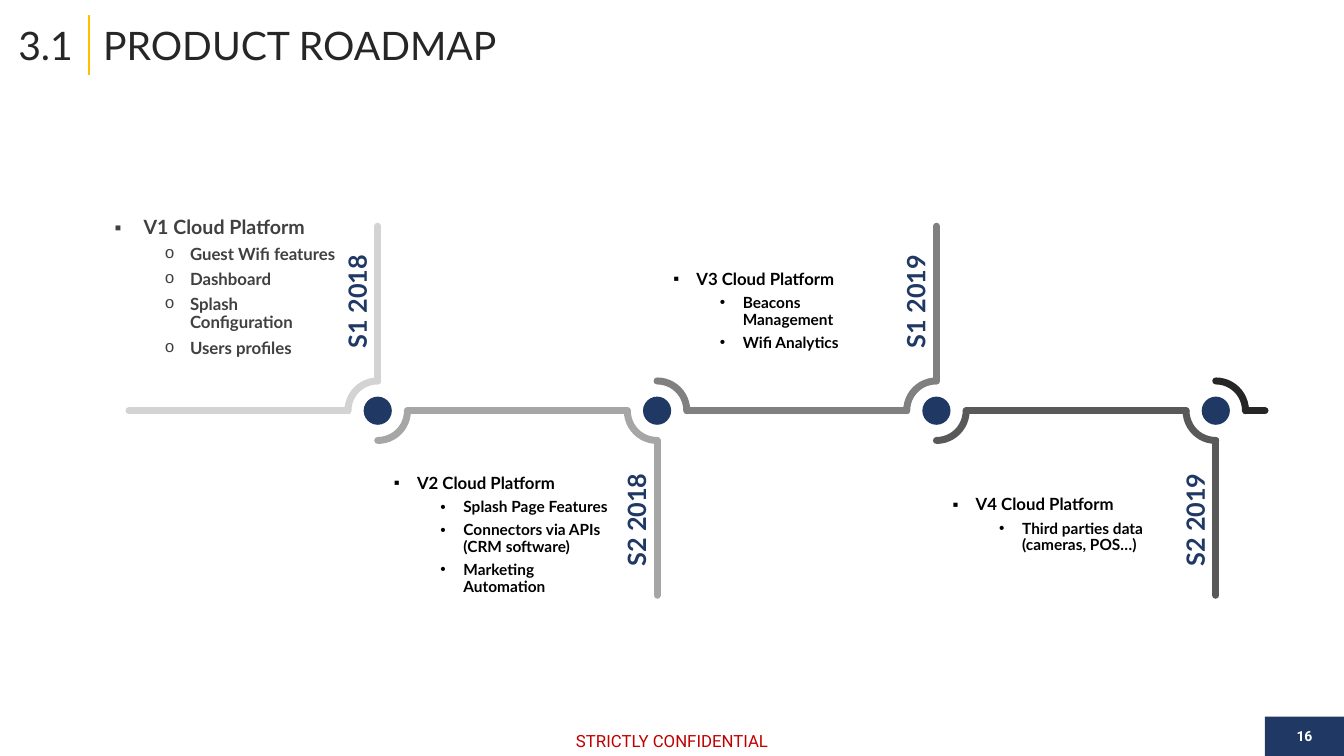
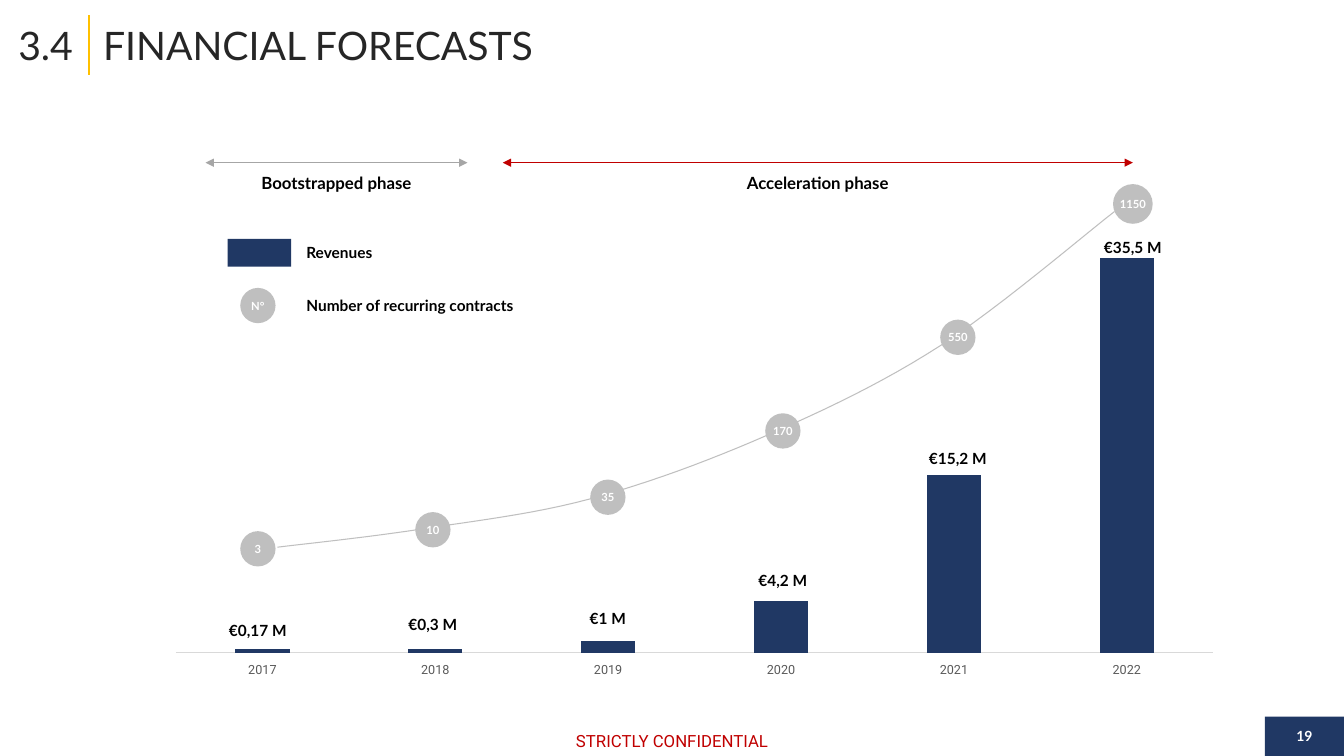
from dataclasses import dataclass
from pptx import Presentation
from pptx.chart.data import CategoryChartData
from pptx.dml.color import RGBColor
from pptx.enum.chart import XL_CHART_TYPE, XL_TICK_LABEL_POSITION, XL_TICK_MARK
from pptx.enum.shapes import MSO_CONNECTOR, MSO_SHAPE
from pptx.enum.text import MSO_ANCHOR, PP_ALIGN
from pptx.oxml.ns import qn
from pptx.util import Cm, Pt
from lxml.etree import SubElement


@dataclass(frozen=True)
class Theme:
    """Colours, fonts and type sizes of the deck."""
    navy: str = "203864"
    gold: str = "FFC000"
    red: str = "C00000"
    ink: str = "262626"
    black: str = "000000"
    white: str = "FFFFFF"
    slate: str = "404040"
    axis: str = "595959"
    rule: str = "D9D9D9"
    disc: str = "BFBFBF"
    mid: str = "A6A6A6"
    track: tuple = ("D3D3D3", "A6A6A6", "808080", "595959", "262626")
    main: str = "Lato"
    side: str = "Roboto"
    title: int = 28
    date: int = 18
    lead: int = 14
    body: int = 12
    label: int = 11
    page: int = 10
    tick: int = 9
    tiny: int = 8


T = Theme()


@dataclass(frozen=True)
class Box:
    """A rectangle in centimetres."""
    x: float
    y: float
    w: float
    h: float

    def sub(self, dx, dy, w, h):
        """Return a box offset from this one."""
        return Box(self.x + dx, self.y + dy, w, h)

    def mid(self, dx, dy, w, h):
        """Return a box centred on an offset point."""
        return self.sub(dx - w / 2, dy - h / 2, w, h)

    def emu(self):
        """Return the four lengths for a shape call."""
        return Cm(self.x), Cm(self.y), Cm(self.w), Cm(self.h)


def rgb(code):
    """Turn a hex code into a colour."""
    return RGBColor.from_string(code)


def add_run(para, words, size, color, font=T.main, bold=True):
    """Add one styled run."""
    run = para.add_run()
    run.text = words
    run.font.size = Pt(size)
    run.font.name = font
    run.font.bold = bold
    run.font.color.rgb = rgb(color)


def fit(frame, inset=0.0, anchor=MSO_ANCHOR.MIDDLE):
    """Set wrap, insets and anchor of a text frame."""
    frame.word_wrap = True
    frame.vertical_anchor = anchor
    frame.margin_left = frame.margin_right = Cm(inset)
    frame.margin_top = frame.margin_bottom = Cm(inset / 2)


def label(slide, box, words, size, color, font=T.main, bold=True,
          align=PP_ALIGN.CENTER):
    """Add a text box with one line and return it."""
    shape = slide.shapes.add_textbox(*box.emu())
    fit(shape.text_frame)
    para = shape.text_frame.paragraphs[0]
    para.alignment = align
    add_run(para, words, size, color, font, bold)
    return shape


def solid(slide, kind, box, color, words="", size=T.tiny, font=T.main):
    """Add a filled shape with optional white text."""
    shape = slide.shapes.add_shape(kind, *box.emu())
    shape.shadow.inherit = False
    shape.fill.solid()
    shape.fill.fore_color.rgb = rgb(color)
    shape.line.fill.background()
    if words:
        fit(shape.text_frame)
        shape.text_frame.word_wrap = False
        para = shape.text_frame.paragraphs[0]
        para.alignment = PP_ALIGN.CENTER
        add_run(para, words, size, T.white, font)


def stroke(shape, color, width, cap="flat"):
    """Style an outline and return its XML element."""
    shape.line.color.rgb = rgb(color)
    shape.line.width = Pt(width)
    line = shape.element.spPr.find(qn("a:ln"))
    line.set("cap", cap)
    return line


def rule(slide, x1, y1, x2, y2, color, width, cap="flat", heads=()):
    """Draw a straight line with optional arrowheads."""
    line = slide.shapes.add_connector(
        MSO_CONNECTOR.STRAIGHT, Cm(x1), Cm(y1), Cm(x2), Cm(y2))
    pen = stroke(line, color, width, cap)
    for end in heads:
        SubElement(pen, qn(end), type="triangle")
    SubElement(line.element.spPr, qn("a:effectLst"))


def frame(slide, box, code, title, page, font):
    """Place the title row, notice and page badge."""
    rule(slide, box.x + 2.24, 0.38, box.x + 2.24, 1.88, T.gold, 1.5)
    label(slide, box.sub(0.2, 0.38, 1.9, 1.5), code, T.title, T.ink,
          bold=False)
    label(slide, box.sub(2.6, 0.38, 30, 1.5), title, T.title, T.ink,
          bold=False, align=PP_ALIGN.LEFT)
    label(slide, box.sub(12.47, 18.29, 8.94, 0.76), "STRICTLY CONFIDENTIAL",
          T.body, T.red, T.side, False)
    solid(slide, MSO_SHAPE.RECTANGLE, box.sub(31.88, 18.06, 1.99, 0.99),
          T.navy, page, T.page, font)


def point(frame, first, words, mark, left, hang, gap, size, color):
    """Add one bulleted paragraph."""
    para = frame.paragraphs[0] if first else frame.add_paragraph()
    para.line_spacing = 0.9
    if not first:
        para.space_before = Pt(gap)
    props = para._p.get_or_add_pPr()
    props.set("marL", str(Cm(left)))
    props.set("indent", str(-Cm(hang)))
    face = "Courier New" if mark == "o" else "Arial"
    SubElement(props, qn("a:buFont"), typeface=face)
    SubElement(props, qn("a:buChar"), char=mark)
    add_run(para, words, size, color)


def note(slide, box, step):
    """Write one release with its features."""
    shape = slide.shapes.add_textbox(*box.emu())
    text = shape.text_frame
    fit(text, 0.25)
    text.margin_bottom = Cm(step.foot)
    big = step.big
    color = T.slate if big else T.black
    point(text, True, step.name, "▪", 0.73 if big else 0.58,
          0.73 if big else 0.58, 0, T.lead if big else T.body, color)
    for item in step.items:
        point(text, False, item, "o" if big else "•",
              1.9 if big else 1.75, 0.64 if big else 0.58,
              5 if big else 4.6, T.body if big else T.label, color)


@dataclass(frozen=True)
class Step:
    """One release on the roadmap."""
    date: str
    name: str
    items: tuple
    foot: float = 0.13
    big: bool = False


STEPS = (
    Step("S1 2018", "V1 Cloud Platform",
         ("Guest Wifi features", "Dashboard", "Splash Configuration",
          "Users profiles"), 1.3, True),
    Step("S2 2018", "V2 Cloud Platform",
         ("Splash Page Features", "Connectors via APIs (CRM software)",
          "Marketing Automation")),
    Step("S1 2019", "V3 Cloud Platform",
         ("Beacons Management", "Wifi Analytics")),
    Step("S2 2019", "V4 Cloud Platform",
         ("Third parties data (cameras, POS…)",), 0.64),
)


def bend(slide, box, start, color):
    """Draw a quarter circle that begins at an angle."""
    arc = slide.shapes.add_shape(MSO_SHAPE.ARC, *box.emu())
    arc.shadow.inherit = False
    arc.adjustments[0] = start * 0.6
    arc.adjustments[1] = (start + 90) % 360 * 0.6
    arc.fill.background()
    stroke(arc, color, 5, "rnd")


def roadmap(slide, box):
    """Draw the track, its nodes, dates and notes."""
    pitch, turn, half = 7.04, 0.75, box.h / 2
    axis = box.y + half
    left = box.x + 0.65
    for i, step in enumerate(STEPS):
        dx = 6.92 + pitch * i
        x = box.x + dx
        up = i % 2 == 0
        side = -1 if up else 1
        tone, after = T.track[i:i + 2]
        ring = box.mid(dx, half, 2 * turn, 2 * turn)
        rule(slide, left, axis, x - turn, axis, tone, 5, "rnd")
        bend(slide, ring, 180 if up else 90, tone)
        bend(slide, ring, 0 if up else 270, after)
        rule(slide, x, axis + side * turn, x, axis + side * (half - 0.3),
             tone, 5, "rnd")
        solid(slide, MSO_SHAPE.OVAL, box.mid(dx, half, 0.71, 0.71), T.navy)
        date = label(slide, box.mid(dx - 0.53, half + side * 2.75, 2.5, 1),
                     step.date, T.date, T.navy)
        date.rotation = 270
        note(slide, box.sub(0.04 + pitch * i, 0 if up else 5.65, 6.07, 4.88),
             step)
        left = x + turn
    rule(slide, left, axis, box.x + box.w, axis, T.track[-1], 5, "rnd")


def bars(slide, box):
    """Add the revenue column chart."""
    data = CategoryChartData()
    data.categories = [str(year) for year in range(2017, 2023)]
    data.add_series("Series 1", (1, 1, 3, 13, 45, 100))
    chart = slide.shapes.add_chart(
        XL_CHART_TYPE.COLUMN_CLUSTERED, *box.emu(), data).chart
    chart.has_legend = chart.has_title = False
    chart.font.name = T.side
    chart.font.size = Pt(T.page)
    years, worth = chart.category_axis, chart.value_axis
    years.major_tick_mark = XL_TICK_MARK.NONE
    years.tick_label_position = XL_TICK_LABEL_POSITION.LOW
    years.tick_labels.font.name = T.side
    years.tick_labels.font.size = Pt(T.tick)
    years.tick_labels.font.color.rgb = rgb(T.axis)
    years.format.line.color.rgb = rgb(T.rule)
    years.format.line.width = Pt(0.75)
    worth.visible = worth.has_major_gridlines = False
    worth.minimum_scale, worth.maximum_scale = 0, 110
    plot = chart.plots[0]
    plot.gap_width, plot.overlap = 219, -27
    plot.vary_by_categories = False
    fill = plot.series[0].format.fill
    fill.solid()
    fill.fore_color.rgb = rgb(T.navy)
    area = chart.element.find(".//" + qn("c:plotArea"))
    for old in area.findall(qn("c:layout")):
        area.remove(old)
    layout = SubElement(area, qn("c:layout"))
    area.insert(0, layout)
    spot = SubElement(layout, qn("c:manualLayout"))
    for tag, val in (("layoutTarget", "inner"), ("xMode", "edge"),
                     ("yMode", "edge"), ("x", "0.02"), ("y", "0.03"),
                     ("w", "0.96"), ("h", "0.91")):
        SubElement(spot, qn("c:" + tag), val=val)


def smooth(knots, parts=12):
    """Yield points of a smooth curve through the knots."""
    ends = [knots[0], *knots, knots[-1]]
    for a, b, c, d in zip(ends, ends[1:], ends[2:], ends[3:]):
        for n in range(1, parts + 1):
            t = n / parts
            yield tuple(
                q + t / 2 * (r - p + t * (2 * p - 5 * q + 4 * r - s
                                          + t * (3 * (q - r) + s - p)))
                for p, q, r, s in zip(a, b, c, d))


def curve(slide, box, knots):
    """Draw the contract growth curve."""
    spots = [(Cm(box.x + x), Cm(box.y + y))
             for x, y in [knots[0], *smooth(knots)]]
    pen = slide.shapes.build_freeform(*spots[0])
    pen.add_line_segments(spots[1:], close=False)
    shape = pen.convert_to_shape()
    shape.shadow.inherit = False
    shape.fill.background()
    stroke(shape, T.disc, 0.75)


def forecast(slide, box):
    """Place phases, legend, chart, curve and values."""
    bars(slide, box.sub(0, 1.06, box.w, 12.01))
    curve(slide, box, [(3.1, 9.69), (6.68, 9.24), (10.99, 8.47),
                       (15.44, 6.87), (19.81, 4.61), (24.2, 1.23)])
    marks = (("€0,17 M", 11.37, "3", 9.73), ("€0,3 M", 11.24, "10", 9.25),
             ("€1 M", 11.09, "35", 8.43), ("€4,2 M", 10.12, "170", 6.76),
             ("€15,2 M", 7.05, "550", 4.4), ("€35,5 M", 1.72, "1150", 1.04))
    for i, (cash, top, count, mid) in enumerate(marks):
        dx = 2.61 + 4.41 * i
        size = 1 if len(count) > 3 else 0.89
        label(slide, box.sub(dx - 0.84, top, 1.68, 0.81), cash, T.label,
              T.black)
        solid(slide, MSO_SHAPE.OVAL, box.mid(dx, mid, size, size), T.disc,
              count)
    solid(slide, MSO_SHAPE.RECTANGLE, box.mid(2.65, 2.27, 1.6, 0.7), T.navy)
    solid(slide, MSO_SHAPE.OVAL, box.mid(2.61, 3.6, 0.89, 0.89), T.disc, "N°")
    for dy, words in ((1.92, "Revenues"),
                      (3.25, "Number of recurring contracts")):
        label(slide, box.sub(3.83, dy, 6.07, 0.7), words, T.label, T.black,
              align=PP_ALIGN.LEFT)
    for dx, wide, tone, words in (
            (1.29, 6.6, T.mid, "Bootstrapped phase"),
            (8.78, 15.88, T.red, "Acceleration phase")):
        x = box.x + dx
        rule(slide, x, box.y, x + wide, box.y, tone, 0.5,
             heads=("a:headEnd", "a:tailEnd"))
        label(slide, box.sub(dx, 0.15, wide, 0.69), words, T.body, T.black)


def main():
    """Build and save the deck."""
    deck = Presentation()
    page = Box(0, 0, 33.87, 19.05)
    deck.slide_width, deck.slide_height = Cm(page.w), Cm(page.h)
    for code, title, num, font, draw, box in (
            ("3.1", "PRODUCT ROADMAP", "16", T.side, roadmap,
             Box(2.6, 5.4, 29.28, 9.9)),
            ("3.4", "FINANCIAL FORECASTS", "19", T.main, forecast,
             Box(3.89, 4.1, 27.23, 13.07))):
        slide = deck.slides.add_slide(deck.slide_layouts[6])
        frame(slide, page, code, title, num, font)
        draw(slide, box)
    deck.save("out.pptx")


if __name__ == "__main__":
    main()
